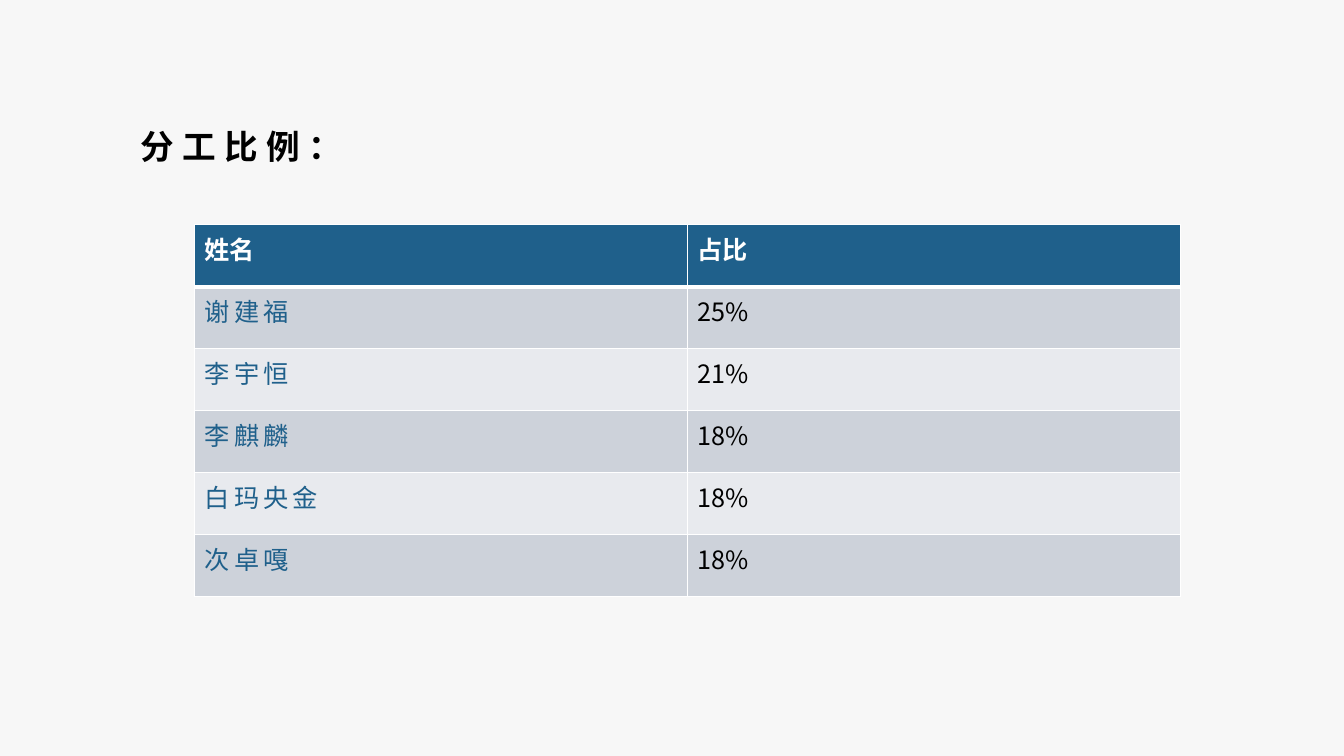
from dataclasses import dataclass

from lxml.etree import SubElement
from pptx import Presentation
from pptx.dml.color import RGBColor as Color
from pptx.enum.text import MSO_ANCHOR as Anchor, PP_ALIGN as Align
from pptx.oxml.ns import qn
from pptx.util import Inches, Pt


@dataclass(frozen=True)
class Theme:
    font: str = "Noto Sans CJK SC"
    background: str = "F7F7F7"
    ink: str = "000000"
    accent: str = "1F608B"
    light: str = "FFFFFF"
    bands: tuple = ("CDD2DA", "E8EAEE")
    title_size: int = 24
    table_size: int = 18
    title_spacing: int = 6
    name_spacing: int = 3
    thin: int = 1
    thick: int = 3


THEME = Theme()
HEADER = ("姓名", "占比")
SHARES = (
    ("谢建福", "25%"),
    ("李宇恒", "21%"),
    ("李麒麟", "18%"),
    ("白玛央金", "18%"),
    ("次卓嘎", "18%"),
)


def write(paragraph, text, size, color, bold=False, spacing=0):
    paragraph.text = text
    font = paragraph.font
    font.size = Pt(size)
    font.bold = bold
    font.name = THEME.font
    font.color.rgb = Color.from_string(color)
    properties = paragraph._p.pPr.find(qn("a:defRPr"))
    properties.set("spc", str(spacing * 100))
    SubElement(properties, qn("a:ea")).set("typeface", THEME.font)


def set_borders(cell, top, bottom):
    properties = cell._tc.get_or_add_tcPr()
    widths = {"lnL": THEME.thin, "lnR": THEME.thin, "lnT": top, "lnB": bottom}
    for side, width in widths.items():
        line = SubElement(properties, qn(f"a:{side}"), w=str(Pt(width)))
        fill = SubElement(line, qn("a:solidFill"))
        SubElement(fill, qn("a:srgbClr"), val=THEME.light)


def add_title(slide, box, text):
    frame = slide.shapes.add_textbox(*box).text_frame
    frame.word_wrap = True
    frame.vertical_anchor = Anchor.MIDDLE
    frame.margin_left = frame.margin_right = 0
    frame.margin_top = frame.margin_bottom = 0
    paragraph = frame.paragraphs[0]
    paragraph.alignment = Align.JUSTIFY
    paragraph.line_spacing = 1.3
    write(paragraph, text, THEME.title_size, THEME.ink, True, THEME.title_spacing)


def add_share_table(slide, box, header, records):
    rows = (header, *records)
    table = slide.shapes.add_table(len(rows), len(header), *box).table
    for row, values in enumerate(rows):
        is_header = row == 0
        for column, value in enumerate(values):
            cell = table.cell(row, column)
            set_borders(
                cell,
                THEME.thick if row == 1 else THEME.thin,
                THEME.thick if is_header else THEME.thin,
            )
            is_name = column == 0 and not is_header
            fill = THEME.accent if is_header else THEME.bands[(row - 1) % 2]
            color = THEME.light if is_header else THEME.accent if is_name else THEME.ink
            cell.fill.solid()
            cell.fill.fore_color.rgb = Color.from_string(fill)
            write(
                cell.text_frame.paragraphs[0], value, THEME.table_size, color,
                is_header, THEME.name_spacing if is_name else 0,
            )


def main():
    presentation = Presentation()
    presentation.slide_width = Inches(13.33)
    presentation.slide_height = Inches(7.5)
    slide = presentation.slides.add_slide(presentation.slide_layouts[6])
    background = slide.background.fill
    background.solid()
    background.fore_color.rgb = Color.from_string(THEME.background)
    add_title(slide, [Inches(n) for n in (1.39, 0.68, 4.5, 1.41)], "分工比例：")
    table_box = [Inches(n) for n in (1.93, 2.23, 9.78, 3.69)]
    add_share_table(slide, table_box, HEADER, SHARES)
    presentation.save("out.pptx")


if __name__ == "__main__":
    main()
